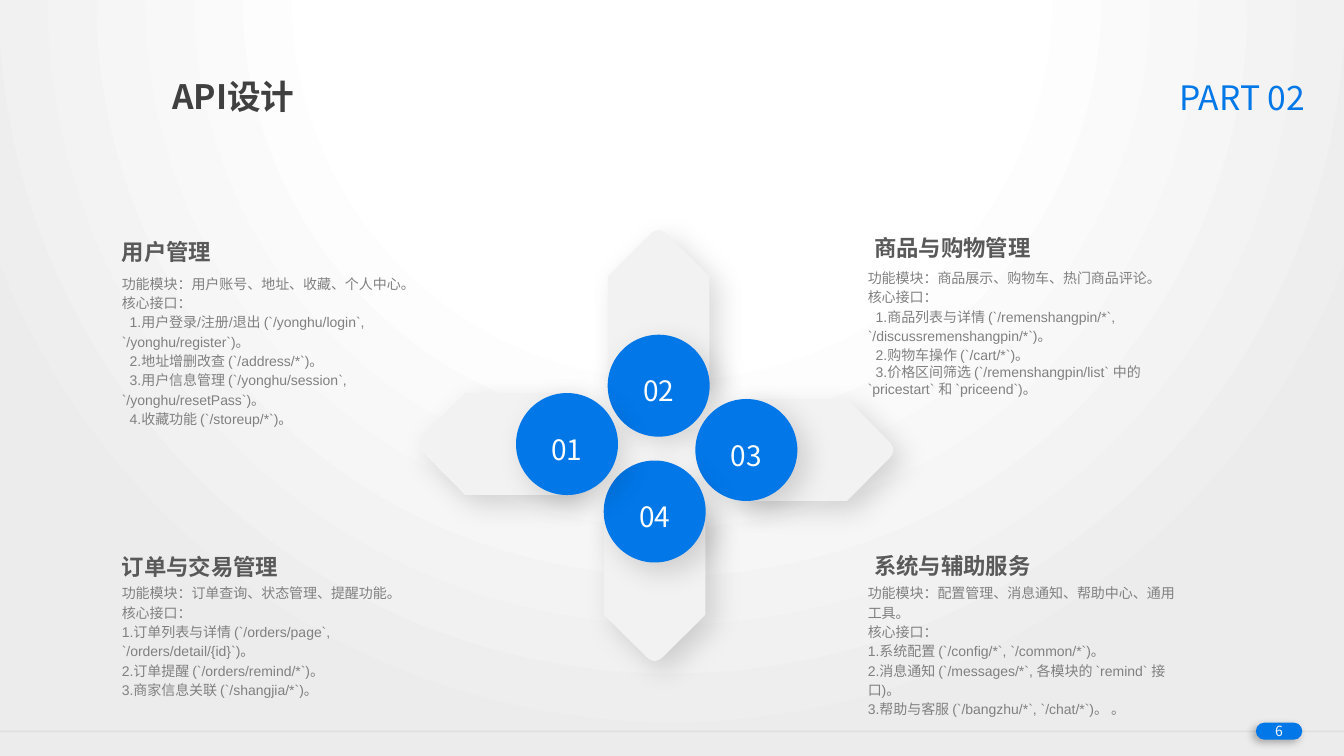
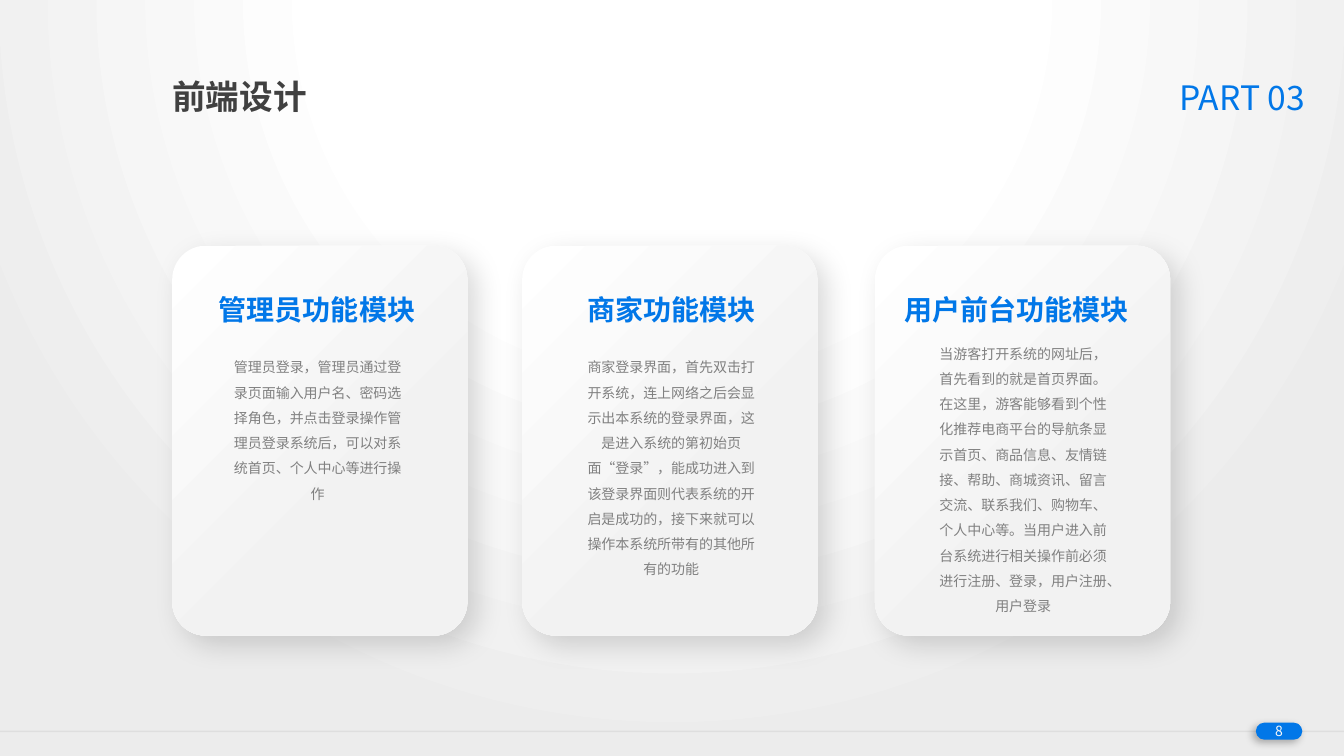
from lxml import etree
from pptx import Presentation
from pptx.dml.color import RGBColor as RGB
from pptx.enum.shapes import MSO_CONNECTOR as CONNECTOR, MSO_SHAPE as SHAPE
from pptx.enum.text import MSO_ANCHOR as ANCHOR, MSO_AUTO_SIZE as AUTO, PP_ALIGN as ALIGN
from pptx.oxml.ns import qn
from pptx.util import Cm, Pt

SLIDE_W, SLIDE_H = 33.87, 19.05
COLORS = {
    "blue": "0177E8", "white": "FFFFFF", "edge": "ECECEC", "panel": "F2F2F2",
    "rule": "D9D9D9", "title": "404040", "heading": "595959",
    "body": "808080", "page": "F8F8F8", "shadow": "000000",
}
CJK = "Noto Sans CJK SC"
# style: size, latin font, colour, bold
STYLES = {
    "title": (24, CJK, "title", True),
    "part": (24, CJK, "blue", False),
    "page": (10, CJK, "page", False),
    "number": (20, CJK, "white", False),
    "heading": (16, "Arial", "heading", True),
    "api": (10, "Arial", "body", False),
    "card_heading": (20, CJK, "blue", True),
    "card_body": (10, CJK, "body", False),
}
SOFT_SHADOW = (15, 20, 9, 45)  # opacity %, blur pt, distance pt, angle
PILL_SHADOW = (30, 6, 3, 135)

# Petals: number, disc centre, direction of the tip, distance to the tip
PETALS = [
    ("02", (16.6, 9.72), (0, -1), 3.93),
    ("03", (18.81, 11.34), (1, 0), 3.71),
    ("04", (16.5, 12.89), (0, 1), 3.77),
    ("01", (14.29, 11.19), (-1, 0), 3.74),
]
DISC = 2.57
PETAL_HALF, PETAL_LEN, SHOULDER = 1.28, 3.86, 1.17

# API blocks: heading, heading box, body position, indent of items, spacing per line, lines
API_BLOCKS = [
    ("用户管理", (2.82, 5.87), ALIGN.LEFT, (2.82, 6.6), 0.2, [1.5] + [1.15] * 5, [
        "功能模块：用户账号、地址、收藏、个人中心。",
        "核心接口：",
        "1.用户登录/注册/退出 (`/yonghu/login`, `/yonghu/register`)。",
        "2.地址增删改查 (`/address/*`)。",
        "3.用户信息管理 (`/yonghu/session`, `/yonghu/resetPass`)。",
        "4.收藏功能 (`/storeup/*`)。"]),
    ("商品与购物管理", (21.62, 5.77), ALIGN.RIGHT, (21.62, 6.6), 0.2, [1.15] * 4 + [1.0], [
        "功能模块：商品展示、购物车、热门商品评论。",
        "核心接口：",
        "1.商品列表与详情 (`/remenshangpin/*`, `/discussremenshangpin/*`)。",
        "2.购物车操作 (`/cart/*`)。",
        "3.价格区间筛选 (`/remenshangpin/list` 中的 `pricestart` 和 `priceend`)。"]),
    ("订单与交易管理", (2.82, 13.82), ALIGN.LEFT, (2.82, 14.55), 0, [1.15] * 5, [
        "功能模块：订单查询、状态管理、提醒功能。",
        "核心接口：",
        "1.订单列表与详情 (`/orders/page`, `/orders/detail/{id}`)。",
        "2.订单提醒 (`/orders/remind/*`)。",
        "3.商家信息关联 (`/shangjia/*`)。"]),
    ("系统与辅助服务", (21.62, 13.79), ALIGN.RIGHT, (21.62, 14.55), 0, [1.15] * 5, [
        "功能模块：配置管理、消息通知、帮助中心、通用工具。",
        "核心接口：",
        "1.系统配置 (`/config/*`, `/common/*`)。",
        "2.消息通知 (`/messages/*`, 各模块的 `remind` 接口)。",
        "3.帮助与客服 (`/bangzhu/*`, `/chat/*`)。 。"]),
]

# Cards: left, heading left, body position, heading, body
CARDS = [
    (4.34, 4.42, (5.54, 8.71), "管理员功能模块",
     "管理员登录，管理员通过登录页面输入用户名、密码选择角色，并点击登录操作"
     "管理员登录系统后，可以对系统首页、个人中心等进行操作"),
    (13.16, 13.36, (14.45, 8.71), "商家功能模块",
     "商家登录界面，首先双击打开系统，连上网络之后会显示出本系统的登录界面，"
     "这是进入系统的第初始页面“登录”，能成功进入到该登录界面则代表系统的开启是成功的，"
     "接下来就可以操作本系统所带有的其他所有的功能"),
    (22.05, 22.05, (23.32, 8.36), "用户前台功能模块",
     "当游客打开系统的网址后，首先看到的就是首页界面。在这里，游客能够看到个性化推荐"
     "电商平台的导航条显示首页、商品信息、友情链接、帮助、商城资讯、留言交流、联系我们、"
     "购物车、个人中心等。当用户进入前台系统进行相关操作前必须进行注册、登录，"
     "用户注册、用户登录"),
]


def rgb(name):
    return RGB.from_string(COLORS[name])


def sub(parent, tag, **attrs):
    el = etree.SubElement(parent, qn(tag))
    for key, value in attrs.items():
        el.set(key, str(value))
    return el


def add_run(p, text, style):
    size, font, color, bold = STYLES[style]
    r = p.add_run()
    r.text = text
    r.font.size, r.font.name, r.font.bold = Pt(size), font, bold
    r.font.color.rgb = rgb(color)
    sub(r.font._element, "a:ea", typeface=CJK)


def write(tf, lines, style, align=ALIGN.LEFT, spacing=None, indents=None):
    """Fill a text frame, one paragraph per line."""
    tf.word_wrap = True
    for i, line in enumerate(lines):
        p = tf.add_paragraph() if i else tf.paragraphs[0]
        p.alignment = align
        if spacing:
            p.line_spacing = spacing[i]
        if indents and indents[i]:
            pPr = p._p.get_or_add_pPr()
            pPr.set("marL", "0")
            pPr.set("indent", str(Cm(indents[i])))
        add_run(p, line, style)


def add_text(slide, box, lines, style, **layout):
    s = slide.shapes.add_textbox(*map(Cm, box))
    write(s.text_frame, lines, style, **layout)


def set_gradient(fill, first, last):
    """Two-stop gradient; each stop is (position, colour)."""
    fill.gradient()
    for stop, (position, color) in zip(fill.gradient_stops, (first, last)):
        stop.position, stop.color.rgb = position, rgb(color)


def finish(sp, shadow, color=None):
    """Plain fill, no outline and an outer shadow."""
    if color:
        sp.fill.solid()
        sp.fill.fore_color.rgb = rgb(color)
    sp.line.fill.background()
    sp.shadow.inherit = False
    opacity, blur, dist, angle = shadow
    effects = sp.element.spPr.find(qn("a:effectLst"))
    outer = sub(effects, "a:outerShdw", blurRad=Pt(blur), dist=Pt(dist),
                dir=angle * 60000, algn="ctr", rotWithShape=0)
    sub(sub(outer, "a:srgbClr", val=COLORS["shadow"]), "a:alpha", val=opacity * 1000)


def add_label_shape(slide, kind, box, shadow, text, style, top_inset=0):
    """Blue shape with a centred label."""
    sp = slide.shapes.add_shape(kind, *map(Cm, box))
    finish(sp, shadow, "blue")
    tf = sp.text_frame
    tf.margin_left = tf.margin_right = tf.margin_bottom = 0
    tf.margin_top = Cm(top_inset)
    tf.vertical_anchor = ANCHOR.MIDDLE
    write(tf, [text], style, ALIGN.CENTER)
    return sp


def set_background(master):
    fill = master.background.fill
    set_gradient(fill, (0.43, "white"), (1, "edge"))
    grad = master.element.find(".//" + qn("p:bgPr")).find(qn("a:gradFill"))
    grad.remove(grad.find(qn("a:lin")))
    circle = sub(grad, "a:path", path="circle")
    sub(circle, "a:fillToRect", l=50000, t=-80000, r=50000, b=180000)


def add_frame(prs, title, part, page):
    """New slide with title, part label, footer rule and page number."""
    slide = prs.slides.add_slide(prs.slide_layouts[5])
    # Footer
    rule = slide.shapes.add_connector(
        CONNECTOR.STRAIGHT, *map(Cm, (0, 18.43, SLIDE_W, 18.43)))
    rule.line.width = Pt(1)
    rule.line.color.rgb = rgb("rule")
    spPr = rule._element.spPr
    sub(spPr.find(".//" + qn("a:srgbClr")), "a:alpha", val=70000)
    sub(spPr, "a:effectLst")
    pill = add_label_shape(slide, SHAPE.ROUNDED_RECTANGLE, (31.65, 18.21, 1.17, 0.43),
                           PILL_SHADOW, page, "page")
    pill.adjustments[0] = 0.5
    # Title and part label
    s = slide.shapes.title
    s.left, s.top, s.width, s.height = map(Cm, (4.09, 1.58, 7.98, 1.37))
    tf = s.text_frame
    tf.auto_size, tf.vertical_anchor = AUTO.NONE, ANCHOR.TOP
    write(tf, [title], "title", spacing=[1.2])
    add_text(slide, (28.09, 1.6, 5.05, 1.37), [part], "part",
             align=ALIGN.RIGHT, spacing=[1.2])
    return slide


def bezier(p0, p1, p2, p3, steps=12):
    for i in range(steps + 1):
        t = i / steps
        u = 1 - t
        yield tuple(u**3 * a + 3 * u * u * t * b + 3 * u * t * t * c + t**3 * d
                    for a, b, c, d in zip(p0, p1, p2, p3))


def add_petal(slide, number, center, direction, reach):
    """Rounded arrow blade with a numbered disc at its foot."""
    (cx, cy), (dx, dy) = center, direction
    outline = [(-PETAL_HALF, SHOULDER),
               *bezier((-0.28, 0.18), (-0.08, -0.05), (0.08, -0.05), (0.28, 0.18)),
               (PETAL_HALF, SHOULDER), (PETAL_HALF, PETAL_LEN), (-PETAL_HALF, PETAL_LEN)]
    points = [(Cm(cx + dx * (reach - depth) - dy * across),
               Cm(cy + dy * (reach - depth) + dx * across)) for across, depth in outline]
    builder = slide.shapes.build_freeform(*points[0])
    builder.add_line_segments(points[1:], close=True)
    finish(builder.convert_to_shape(), SOFT_SHADOW, "panel")
    add_label_shape(slide, SHAPE.OVAL, (cx - DISC / 2, cy - DISC / 2, DISC, DISC),
                    SOFT_SHADOW, number, "number", top_inset=0.25)


def add_api_block(slide, heading, heading_at, align, body_at, indent, spacing, lines):
    indents = [0, 0] + [indent] * (len(lines) - 2)
    add_text(slide, (*body_at, 8.56, 3.18), lines, "api", spacing=spacing, indents=indents)
    add_text(slide, (*heading_at, 4.6, 0.94), [heading], "heading", align=align)


def add_card(slide, left, heading_left, body_at, heading, body):
    sp = slide.shapes.add_shape(SHAPE.ROUNDED_RECTANGLE, *map(Cm, (left, 6.19, 7.44, 9.83)))
    sp.adjustments[0] = 0.115
    set_gradient(sp.fill, (0, "white"), (0.65, "panel"))
    sp.fill.gradient_angle = 315
    finish(sp, SOFT_SHADOW)
    add_text(slide, (*body_at, 4.93, 4.04), [body], "card_body",
             align=ALIGN.CENTER, spacing=[1.5])
    add_text(slide, (heading_left, 7.24, 7.14, 1.12), [heading], "card_heading",
             align=ALIGN.CENTER)


def main():
    prs = Presentation()
    prs.slide_width, prs.slide_height = Cm(SLIDE_W), Cm(SLIDE_H)
    set_background(prs.slide_master)

    # API design
    slide = add_frame(prs, "API设计", "PART 02", "6")
    for petal in PETALS:
        add_petal(slide, *petal)
    for block in API_BLOCKS:
        add_api_block(slide, *block)

    # Front-end design
    slide = add_frame(prs, "前端设计", "PART 03", "8")
    for card in CARDS:
        add_card(slide, *card)

    prs.save("out.pptx")


if __name__ == "__main__":
    main()
